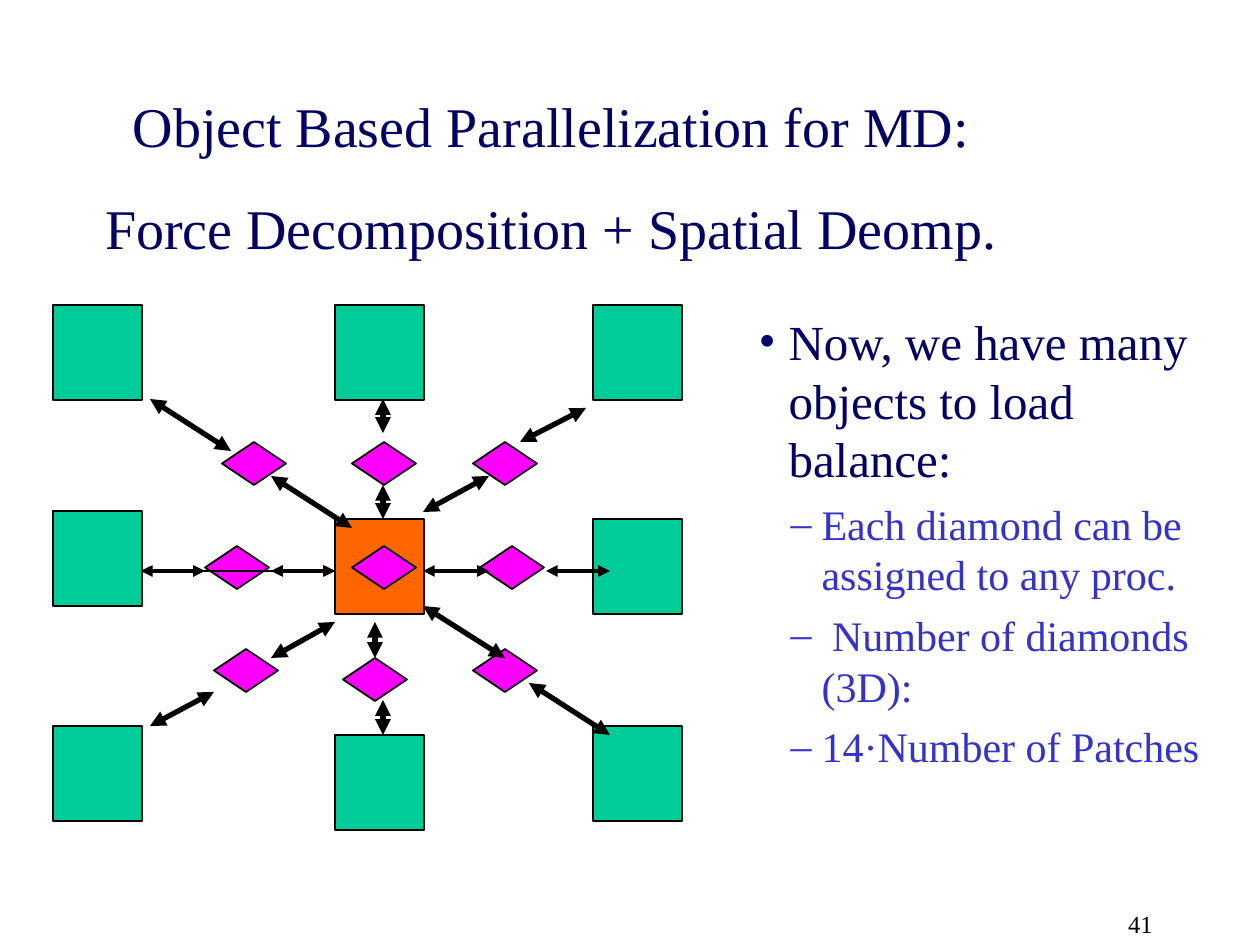
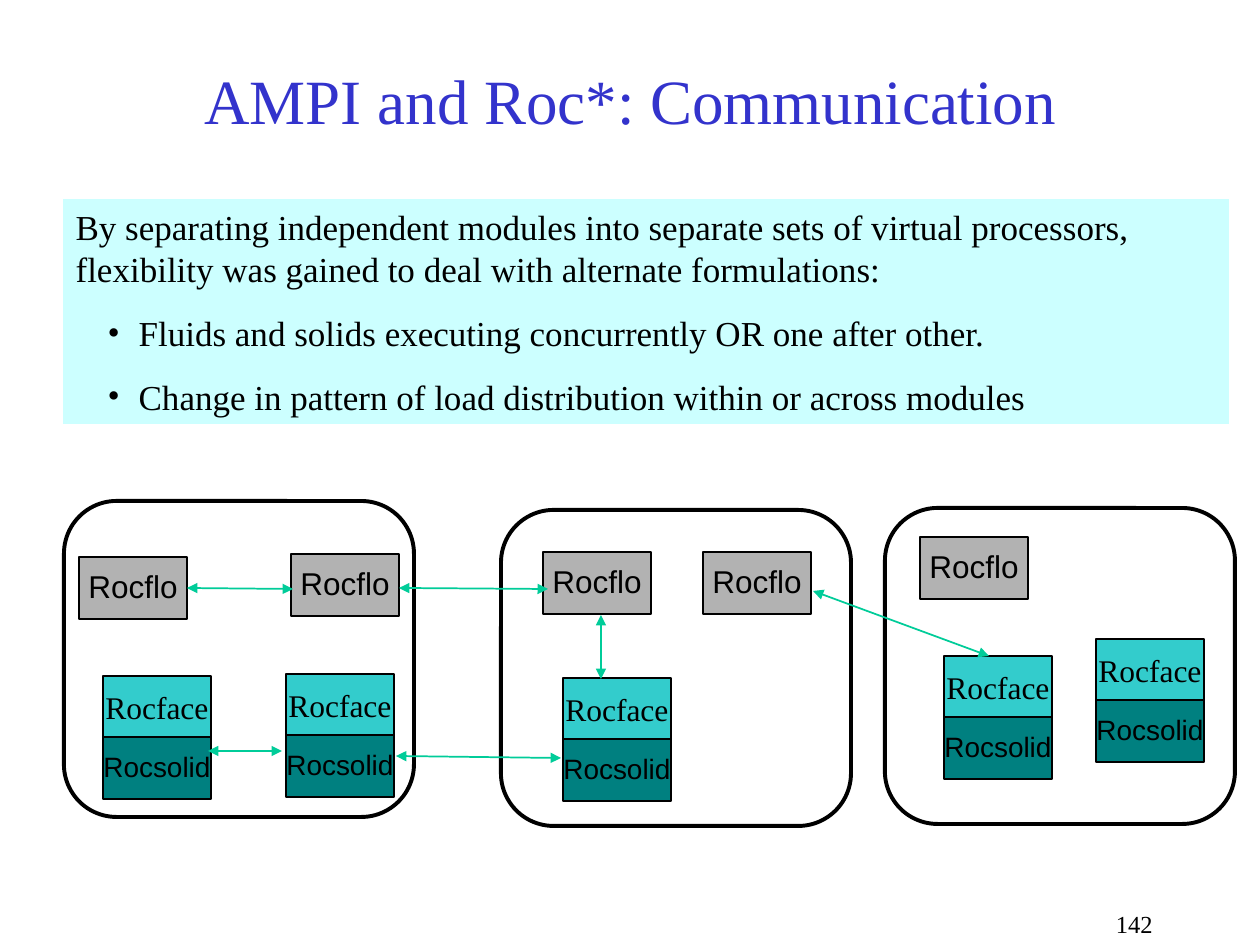
import pptx
import pptx.util
import pptx.dml.color
import pptx.enum.shapes
import pptx.enum.text
import pptx.oxml
import pptx.oxml.ns
from lxml import etree

RGB = pptx.dml.color.RGBColor
KIND = pptx.enum.shapes.MSO_SHAPE
ALIGN = pptx.enum.text.PP_ALIGN
ANCHOR = pptx.enum.text.MSO_ANCHOR
Pt = pptx.util.Pt
qn = pptx.oxml.ns.qn

BLACK = RGB(0x00, 0x00, 0x00)
NAVY = RGB(0x00, 0x00, 0x66)
BLUE = RGB(0x33, 0x33, 0xCC)
GREEN = RGB(0x00, 0xCC, 0x99)
ORANGE = RGB(0xFF, 0x66, 0x00)
PINK = RGB(0xFF, 0x00, 0xFF)
GREY = RGB(0xB2, 0xB2, 0xB2)
AQUA = RGB(0x33, 0xCC, 0xCC)
TEAL = RGB(0x00, 0x80, 0x80)
PALE = RGB(0xCC, 0xFF, 0xFF)
SERIF, SANS = "Times New Roman", "Arial"

FORCE = {
    "title": ["Object Based Parallelization for MD:",
              "Force Decomposition + Spatial Deomp."],
    "number": "41",
    "list": [
        ("Now, we have many objects to load balance:", 0, "•", 28, NAVY, 7),
        ("Each diamond can be assigned to any proc.", 1, "–", 24, BLUE, 6),
        (" Number of diamonds (3D):", 1, "–", 24, BLUE, 6),
        ("14·Number of Patches", 1, "–", 24, BLUE, 6),
    ],
}
ROC = {
    "title": ["AMPI and Roc*: Communication"],
    "number": "142",
    "list": [
        ("By separating independent modules into separate sets of virtual "
         "processors, flexibility was gained to deal with alternate "
         "formulations:", 0, None, 20, BLACK, 12.5),
        ("Fluids and solids executing concurrently OR one after other.",
         1, "•", 20, BLACK, 12.5),
        ("Change in pattern of load distribution within or across modules",
         1, "•", 20, BLACK, 12.5),
    ],
}

CELL = (89, 95)
PATCHES = [(53, 305), (335, 305), (593, 305), (53, 511), (593, 519),
           (53, 726), (335, 735), (593, 726)]
HOME = (335, 519)
GEM = (64, 43)
PAIRS = [(222, 442), (352, 442), (473, 442), (205, 546), (480, 546),
         (214, 649), (343, 658), (473, 649)]
SELF = (352, 546)
LINKS = {
    2.25: [(141, 571, 205, 571), (423, 571, 489, 571),
           (546, 571, 610, 571), (271, 571, 335, 571)],
    3: [(335, 622, 271, 658), (214, 692, 150, 726), (586, 408, 520, 442),
        (489, 476, 423, 512), (383, 399, 383, 433), (383, 485, 383, 519),
        (375, 622, 375, 658), (383, 700, 383, 735), (150, 399, 231, 451),
        (271, 476, 352, 528), (529, 683, 610, 735), (423, 606, 505, 658)],
    1: [(141, 571, 335, 571)],
}

NODE = (350, 316)
NODES = [(64, 501), (501, 510), (885, 508)]
PART = (108, 62)
STEP = 61
FLOWS = [(79, 557), (291, 554), (543, 552), (703, 552), (920, 537)]
STACKS = [(103, 676), (286, 674), (563, 678), (944, 656), (1096, 639)]
CALLS = [(186, 589, 293, 589), (399, 588, 548, 589), (208, 751, 282, 751),
         (601, 615, 601, 679), (813, 591, 989, 656), (396, 756, 561, 758)]


def px(n):
    return round(n * 914400 / 126)


def place(shape, x, y, w, h):
    shape.left, shape.top = px(x), px(y)
    shape.width, shape.height = px(w), px(h)


def style(para, size, color, face=SERIF, align=None, before=0, lead=None):
    para.space_before = Pt(before)
    para.alignment = align
    if lead:
        para.line_spacing = lead
    font = para.font
    font.size, font.name = Pt(size), face
    font.color.rgb = color


def paras(frame, texts):
    for i, text in enumerate(texts):
        para = frame.paragraphs[0] if i == 0 else frame.add_paragraph()
        para.text = text
        yield i, para


def bullet(para, mark, level, color):
    props = para._p.get_or_add_pPr()
    left, hang = (63, 31) if level else (30, 30)
    if not mark:
        left = hang = 0
    props.set("marL", str(px(left)))
    props.set("indent", str(-px(hang)))
    if not mark:
        etree.SubElement(props, qn("a:buNone"))
        return
    tint = etree.SubElement(props, qn("a:buClr"))
    etree.SubElement(tint, qn("a:srgbClr")).set("val", str(color))
    etree.SubElement(props, qn("a:buFont")).set("typeface", SERIF)
    etree.SubElement(props, qn("a:buChar")).set("char", mark)


def start(deck, data, head, body, size, color, anchor):
    slide = deck.slides.add_slide(deck.slide_layouts[1])
    title, text = slide.shapes.title, slide.placeholders[1]
    for shape, spot in ((title, head), (text, body)):
        place(shape, *spot)
        shape.text_frame.auto_size = pptx.enum.text.MSO_AUTO_SIZE.NONE
        shape.text_frame.word_wrap = True
    title.text_frame.vertical_anchor = anchor
    for i, para in paras(title.text_frame, data["title"]):
        style(para, size, color, align=ALIGN.CENTER, before=20 if i else 0)
    rows = data["list"]
    for i, para in paras(text.text_frame, [row[0] for row in rows]):
        level, mark, points, ink, gap = rows[i][1:]
        para.level = level
        bullet(para, mark, level, ink)
        style(para, points, ink, align=ALIGN.LEFT, before=gap if i else 0)
    page = slide.shapes.add_textbox(px(935), px(903), px(230), px(42))
    page.text_frame.word_wrap = True
    for i, para in paras(page.text_frame, [data["number"]]):
        style(para, 14, BLACK, align=ALIGN.RIGHT)
    return slide, text


def block(slide, kind, spot, size, fill=None, width=1):
    shape = slide.shapes.add_shape(kind, *map(px, spot + size))
    shape.shadow.inherit = False
    if fill is None:
        shape.fill.background()
    else:
        shape.fill.solid()
        shape.fill.fore_color.rgb = fill
    shape.line.color.rgb = BLACK
    shape.line.width = Pt(width)
    return shape


def part(slide, text, spot, fill, size, face, lead=None):
    shape = block(slide, KIND.RECTANGLE, spot, PART, fill)
    frame = shape.text_frame
    frame.word_wrap = False
    frame.vertical_anchor = ANCHOR.MIDDLE
    for i, para in paras(frame, [text]):
        style(para, size, BLACK, face, ALIGN.CENTER, lead=lead)
    return shape


def sides(shape):
    x, y, w, h = shape.left, shape.top, shape.width, shape.height
    return [(x + w // 2, y), (x, y + h // 2),
            (x + w // 2, y + h), (x + w, y + h // 2)]


def arrow(slide, ends, width, color, boxes):
    line = slide.shapes.add_connector(
        pptx.enum.shapes.MSO_CONNECTOR.STRAIGHT, *map(px, ends))
    line.line.color.rgb = color
    line.line.width = Pt(width)
    edge = line.line._get_or_add_ln()
    for tag in ("a:headEnd", "a:tailEnd"):
        etree.SubElement(edge, qn(tag)).set("type", "triangle")
    etree.SubElement(line._element.spPr, qn("a:effectLst"))
    joins = ((ends[:2], line.begin_connect), (ends[2:], line.end_connect))
    for (x, y), join in joins:
        for box in boxes:
            for i, (sx, sy) in enumerate(sides(box)):
                if max(abs(sx - px(x)), abs(sy - px(y))) <= px(2):
                    join(box, i)


def force(deck):
    slide, text = start(deck, FORCE, (84, 84, 935, 183),
                        (746, 305, 494, 491), 32, NAVY, ANCHOR.BOTTOM)
    boxes = [block(slide, KIND.RECTANGLE, spot, CELL, GREEN)
             for spot in PATCHES]
    boxes.append(block(slide, KIND.RECTANGLE, HOME, CELL, ORANGE))
    for spot in PAIRS:
        block(slide, KIND.DIAMOND, spot, GEM, PINK)
    for width, links in LINKS.items():
        for ends in links:
            arrow(slide, ends, width, BLACK, boxes)
    block(slide, KIND.DIAMOND, SELF, GEM, PINK)


def roc(deck):
    slide, text = start(deck, ROC, (53, 63, 1155, 73),
                        (63, 199, 1166, 225), 36, BLUE, ANCHOR.MIDDLE)
    text.fill.solid()
    text.fill.fore_color.rgb = PALE
    for spot in NODES:
        block(slide, KIND.ROUNDED_RECTANGLE, spot, NODE, width=2.25)
    boxes = [part(slide, "Rocflo", spot, GREY, 18, SANS, 0.9)
             for spot in FLOWS]
    for x, y in STACKS:
        boxes.append(part(slide, "Rocface", (x, y), AQUA, 18, SERIF))
        boxes.append(part(slide, "Rocsolid", (x, y + STEP), TEAL,
                          16, SANS, 0.9))
    for ends in CALLS:
        arrow(slide, ends, 1, GREEN, boxes)


def main():
    deck = pptx.Presentation()
    deck.slide_width, deck.slide_height = px(1260), px(945)
    force(deck)
    roc(deck)
    deck.save("out.pptx")


if __name__ == "__main__":
    main()
